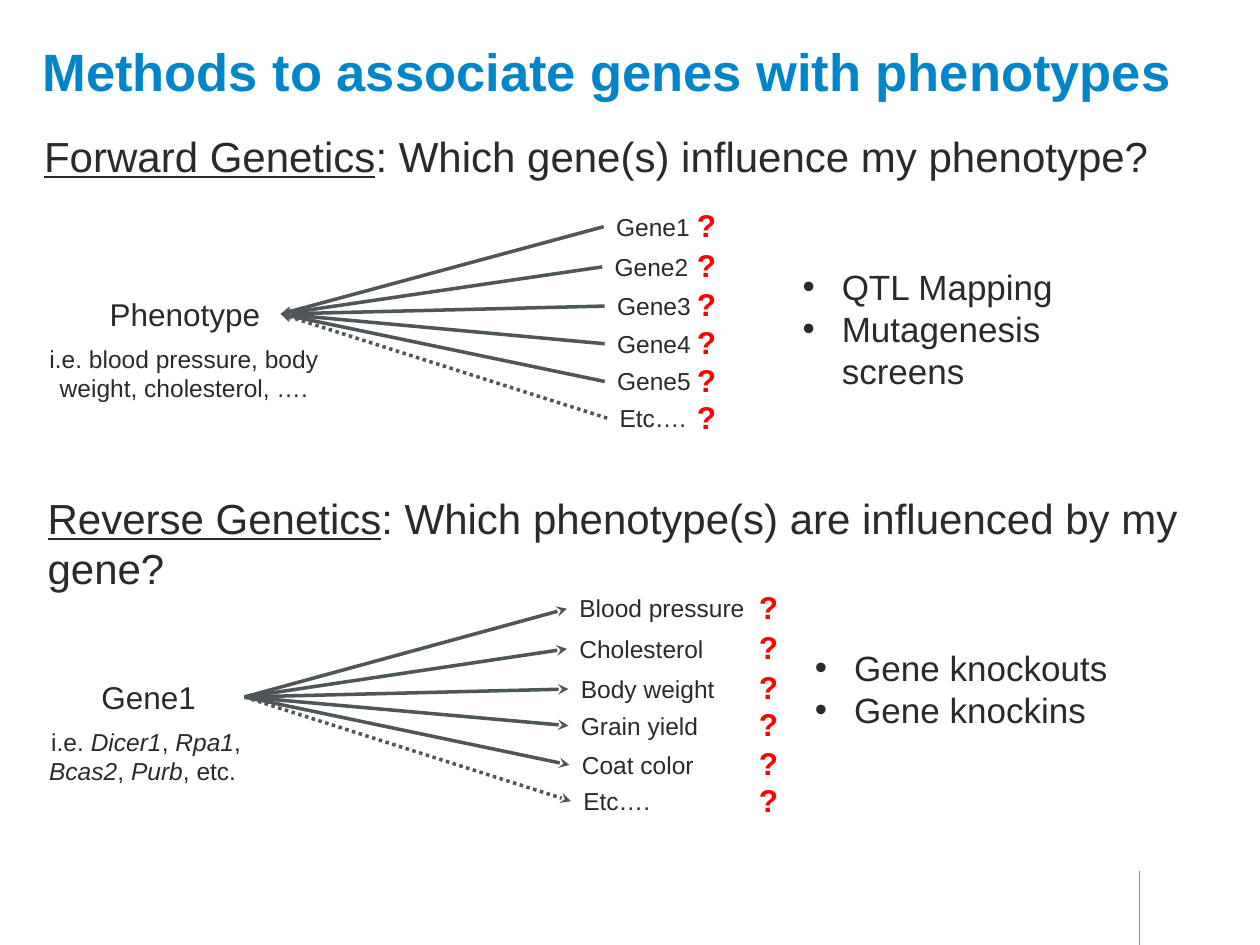
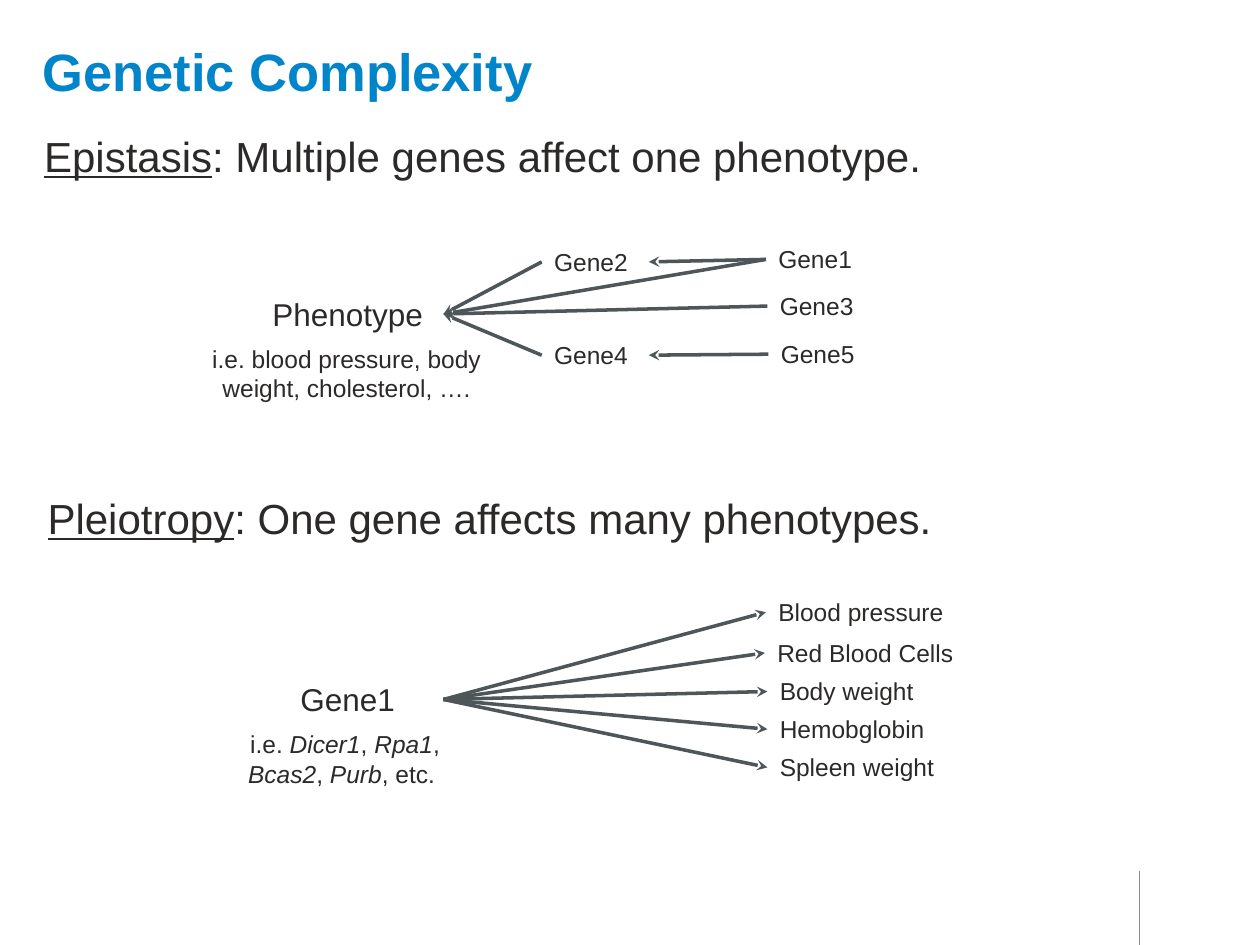
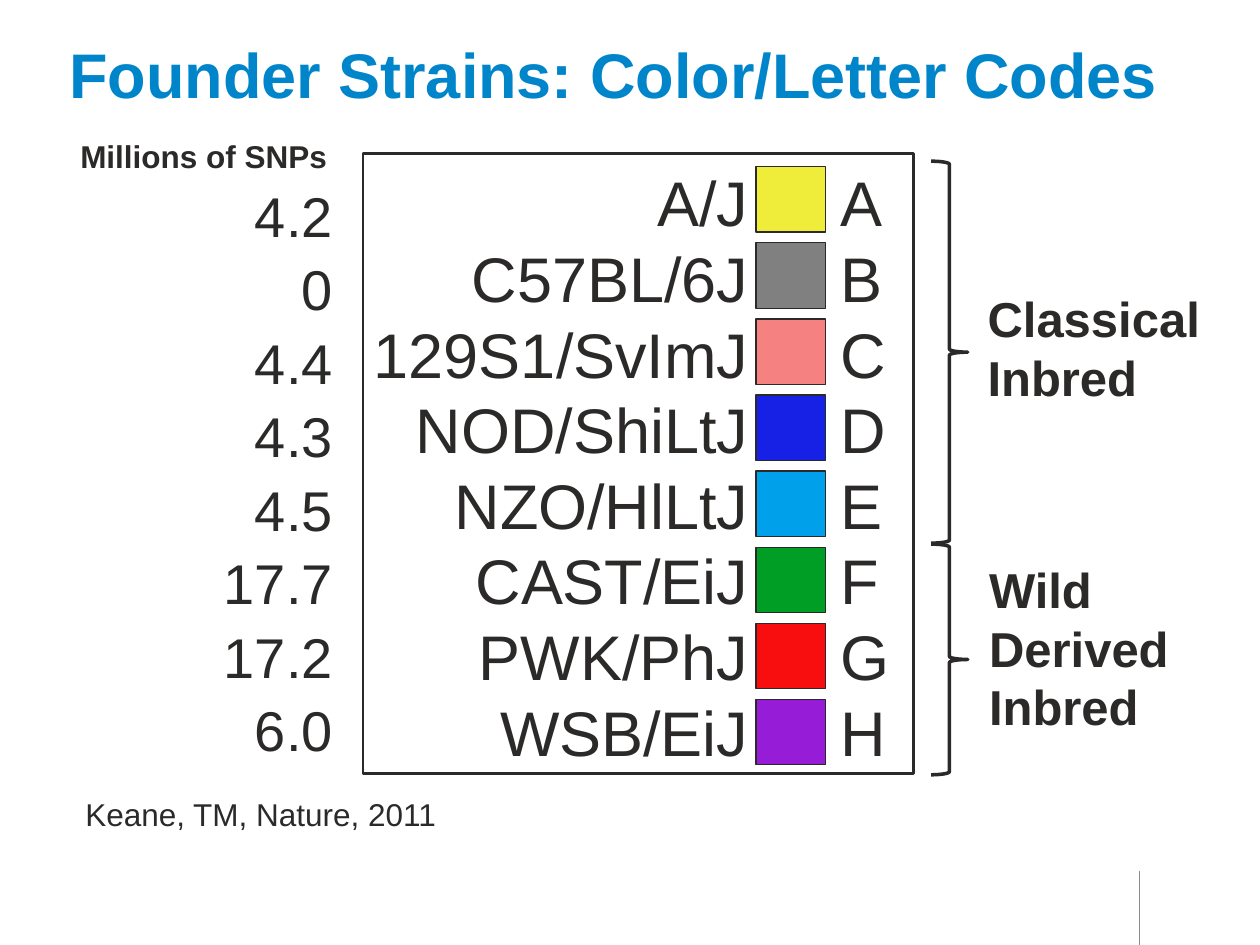
from lxml import etree
from pptx import Presentation
from pptx import util as u
from pptx.dml.color import RGBColor
from pptx.enum import dml, shapes, text
from pptx.oxml.ns import qn

FONT = "Arial"
BLUE, INK, SLATE, RED, GREY = "0085CA", "2C2A29", "4E5659", "FF0000", "8C8C8C"
RIGHT, CENTER = text.PP_ALIGN.RIGHT, text.PP_ALIGN.CENTER
SOURCE_WIDTH, SOURCE_HEIGHT = 3.86, 1.02
LABEL_HEIGHT, GENE_WIDTH, PHENOTYPE_WIDTH = 0.86, 2.16, 4.1
MARK_RISE = 0.11

# All positions and lengths are in centimetres.
PHENOTYPE_EXAMPLES = [("i.e. blood pressure, body weight, cholesterol, ….", "")]
GENE_EXAMPLES = [("i.e. ", ""), ("Dicer1", "i"), (", ", ""), ("Rpa1", "i"), (", ", ""),
                 ("Bcas2", "i"), (", ", ""), ("Purb", "i"), (", etc. ", "")]

# Fan labels: (text, left, top)
CANDIDATE_GENES = [
    ("Gene1", 12.17, 4.14), ("Gene2", 12.14, 4.95), ("Gene3", 12.19, 5.74),
    ("Gene4", 12.19, 6.5), ("Gene5", 12.19, 7.26), ("Etc….", 12.24, 8.0)]
CANDIDATE_PHENOTYPES = [
    ("Blood pressure", 11.43, 11.84), ("Cholesterol", 11.43, 12.65),
    ("Body weight", 11.46, 13.46), ("Grain yield", 11.46, 14.2),
    ("Coat color", 11.48, 14.99), ("Etc….", 11.51, 15.72)]
AFFECTED_PHENOTYPES = [
    ("Blood pressure", 15.44, 11.91), ("Red Blood Cells", 15.42, 12.73),
    ("Body weight", 15.47, 13.51), ("Hemobglobin", 15.47, 14.27),
    ("Spleen weight", 15.47, 15.04)]
EPISTATIC_GENES = {
    "Gene1": (15.44, 4.8), "Gene2": (10.92, 4.85), "Gene3": (15.47, 5.74),
    "Gene4": (10.92, 6.73), "Gene5": (15.49, 6.71)}
EPISTATIC_LINKS = [("Gene1", None), ("Gene3", None), ("Gene4", None), ("Gene2", None),
                   ("Gene5", "Gene4"), ("Gene1", "Gene2")]

# (strain, letter, colour, millions of SNPs)
STRAINS = [
    ("A/J", "A", "EFED39", "4.2"), ("C57BL/6J", "B", "808080", "0"),
    ("129S1/SvImJ", "C", "F58181", "4.4"), ("NOD/ShiLtJ", "D", "1721E6", "4.3"),
    ("NZO/HlLtJ", "E", "00A1EA", "4.5"), ("CAST/EiJ", "F", "009E25", "17.7"),
    ("PWK/PhJ", "G", "F80E0E", "17.2"), ("WSB/EiJ", "H", "961CD7", "6.0")]
# (text, brace top, brace height, text left, text top)
STRAIN_GROUPS = [("Classical Inbred", 3.25, 7.7, 19.66, 5.69),
                 ("Wild Derived Inbred", 10.97, 4.65, 19.69, 11.15)]


def rgb(value):
    return RGBColor.from_string(value)


def add_text(slide, paragraphs, left, top, width, height, size,
             color=INK, bold=False, align=None, bullet=False):
    """Each paragraph is a string or a list of (text, style), style "i", "u" or ""."""
    shape = slide.shapes.add_textbox(u.Cm(left), u.Cm(top), u.Cm(width), u.Cm(height))
    frame = shape.text_frame
    frame.word_wrap = True
    for index, content in enumerate(paragraphs):
        paragraph = frame.paragraphs[0] if index == 0 else frame.add_paragraph()
        if bullet:
            add_bullet(paragraph)
        paragraph.alignment = align
        paragraph.line_spacing = u.Pt(round(size * 1.2, 1))
        runs = [(content, "")] if isinstance(content, str) else content
        for words, style in runs:
            run = paragraph.add_run()
            run.text = words
            format_run(run, size, color, bold)
            run.font.italic = style == "i"
            run.font.underline = style == "u"
    return frame


def format_run(run, size, color, bold):
    run.font.name = FONT
    run.font.size = u.Pt(size)
    run.font.bold = bold
    run.font.color.rgb = rgb(color)


def add_bullet(paragraph):
    properties = paragraph._p.get_or_add_pPr()
    properties.set("marL", str(u.Cm(0.79)))
    properties.set("indent", str(-u.Cm(0.79)))
    etree.SubElement(properties, qn("a:buFont")).set("typeface", FONT)
    etree.SubElement(properties, qn("a:buChar")).set("char", "•")


def add_line(slide, start, end, color, width):
    line = slide.shapes.add_connector(
        shapes.MSO_CONNECTOR.STRAIGHT, *(u.Cm(value) for value in (*start, *end)))
    line.line.color.rgb = rgb(color)
    line.line.width = u.Pt(width)
    etree.SubElement(line._element.spPr, qn("a:effectLst"))
    return line


def add_arrow(slide, start, tip, dotted=False):
    arrow = add_line(slide, start, tip, SLATE, 2)
    if dotted:
        arrow.line.dash_style = dml.MSO_LINE.ROUND_DOT
    etree.SubElement(arrow.line._get_or_add_ln(), qn("a:tailEnd")).set("type", "stealth")


def add_outline(slide, kind, left, top, width, height, line_width, fill=None):
    shape = slide.shapes.add_shape(kind, u.Cm(left), u.Cm(top), u.Cm(width), u.Cm(height))
    shape.shadow.inherit = False
    if fill:
        shape.fill.solid()
        shape.fill.fore_color.rgb = rgb(fill)
    else:
        shape.fill.background()
    shape.line.color.rgb = rgb(INK)
    shape.line.width = u.Pt(line_width)


def new_slide(presentation, title, size=30, left=0.86, top=0.58):
    slide = presentation.slides.add_slide(presentation.slide_layouts[6])
    add_line(slide, (22.96, 17.55), (22.96, 19.05), GREY, 0.25)
    frame = add_text(slide, [title], left, top, 24.51 - left, 1.6, size, BLUE, bold=True)
    frame.margin_left = 0
    frame.vertical_anchor = text.MSO_ANCHOR.BOTTOM
    return slide


def add_headings(slide, first, second):
    for (term, meaning), left, top in ((first, 0.64, 2.51), (second, 0.71, 9.8)):
        add_text(slide, [[(term, "u"), (meaning, "")]], left, top, 23.88, 1.27, 24)


def add_source(slide, name, left, top, examples, examples_left, examples_width):
    """Draw the hub of a fan and return the point where its arrows meet."""
    add_text(slide, [name], left, top, SOURCE_WIDTH, SOURCE_HEIGHT, 18, align=CENTER)
    add_text(slide, [examples], examples_left, top + 0.99, examples_width, 1.45, 14,
             align=CENTER)
    return left + SOURCE_WIDTH, top + SOURCE_HEIGHT / 2


def add_label(slide, name, left, top, width):
    add_text(slide, [name], left, top, width, LABEL_HEIGHT, 14)
    return left, top + LABEL_HEIGHT / 2


def add_fan(slide, hub, labels, label_width, inward=False, mark_left=None):
    for name, left, top in labels:
        end = add_label(slide, name, left, top, label_width)
        start, tip = (end, hub) if inward else (hub, end)
        add_arrow(slide, start, tip, dotted=name.startswith("Etc"))
        if mark_left:
            add_text(slide, ["?"], mark_left, top - MARK_RISE, 0.97, 1.02, 18, RED, bold=True)


def build_methods(presentation):
    slide = new_slide(presentation, "Methods to associate genes with phenotypes")
    add_headings(slide,
                 ("Forward Genetics", ": Which gene(s) influence my phenotype?"),
                 ("Reverse Genetics", ": Which phenotype(s) are influenced by my gene?"))
    hub = add_source(slide, "Phenotype", 1.8, 5.82, PHENOTYPE_EXAMPLES, 0.66, 6.1)
    add_fan(slide, hub, CANDIDATE_GENES, GENE_WIDTH, inward=True, mark_left=13.8)
    hub = add_source(slide, "Gene1", 1.07, 13.54, GENE_EXAMPLES, 0.28, 5.33)
    add_fan(slide, hub, CANDIDATE_PHENOTYPES, PHENOTYPE_WIDTH, mark_left=15.05)
    add_text(slide, ["QTL Mapping", "Mutagenesis screens"],
             15.93, 5.23, 7.75, 1.96, 20, bullet=True)
    add_text(slide, ["Gene knockouts", "Gene knockins"],
             16.18, 12.9, 7.75, 1.96, 20, bullet=True)


def build_complexity(presentation):
    slide = new_slide(presentation, "Genetic Complexity")
    add_headings(slide, ("Epistasis", ": Multiple genes affect one phenotype."),
                 ("Pleiotropy", ": One gene affects many phenotypes."))
    hub = add_source(slide, "Phenotype", 5.08, 5.82, PHENOTYPE_EXAMPLES, 3.94, 6.1)
    anchors = {name: add_label(slide, name, left, top, GENE_WIDTH)
               for name, (left, top) in EPISTATIC_GENES.items()}
    for gene, target in EPISTATIC_LINKS:
        tip = (anchors[target][0] + GENE_WIDTH, anchors[target][1]) if target else hub
        add_arrow(slide, anchors[gene], tip)
    hub = add_source(slide, "Gene1", 5.08, 13.59, GENE_EXAMPLES, 4.29, 5.33)
    add_fan(slide, hub, AFFECTED_PHENOTYPES, PHENOTYPE_WIDTH)


def build_strains(presentation):
    slide = new_slide(presentation, "Founder Strains: Color/Letter Codes", 36, 1.4, 0.76)
    names, letters, colors, snps = zip(*STRAINS)
    add_text(slide, names, 6.96, 3.18, 8.38, 12.57, 36, align=RIGHT)
    first_top, last_top = 3.36, 14.1
    step = (last_top - first_top) / (len(STRAINS) - 1)
    for index, color in enumerate(colors):
        add_outline(slide, shapes.MSO_SHAPE.RECTANGLE,
                    15.24, first_top + index * step, 1.4, 1.32, 0.75, color)
    add_outline(slide, shapes.MSO_SHAPE.RECTANGLE, 7.32, 3.1, 11.1, 12.5, 1.5)
    add_text(slide, letters, 16.69, 3.18, 8.38, 12.57, 36)
    for name, brace_top, brace_height, left, top in STRAIN_GROUPS:
        add_outline(slide, shapes.MSO_SHAPE.RIGHT_BRACE,
                    18.77, brace_top, 0.74, brace_height, 2)
        add_text(slide, [name], left, top, 5.18, 2.64, 28, bold=True)

    frame = add_text(slide, ["Millions of SNPs"], 1.37, 2.64, 5.59, 13.0, 18, bold=True)
    for value in snps:
        paragraph = frame.add_paragraph()
        paragraph.text = value
        paragraph.alignment = RIGHT
        paragraph.line_spacing = u.Pt(42)
        format_run(paragraph.runs[0], 32, INK, False)
    add_text(slide, ["Keane, TM, Nature, 2011"], 1.47, 15.9, 10.44, 1.02, 18)


def main():
    presentation = Presentation()
    presentation.slide_width, presentation.slide_height = u.Cm(25.4), u.Cm(19.05)
    build_methods(presentation)
    build_complexity(presentation)
    build_strains(presentation)
    presentation.save("out.pptx")


if __name__ == "__main__":
    main()
